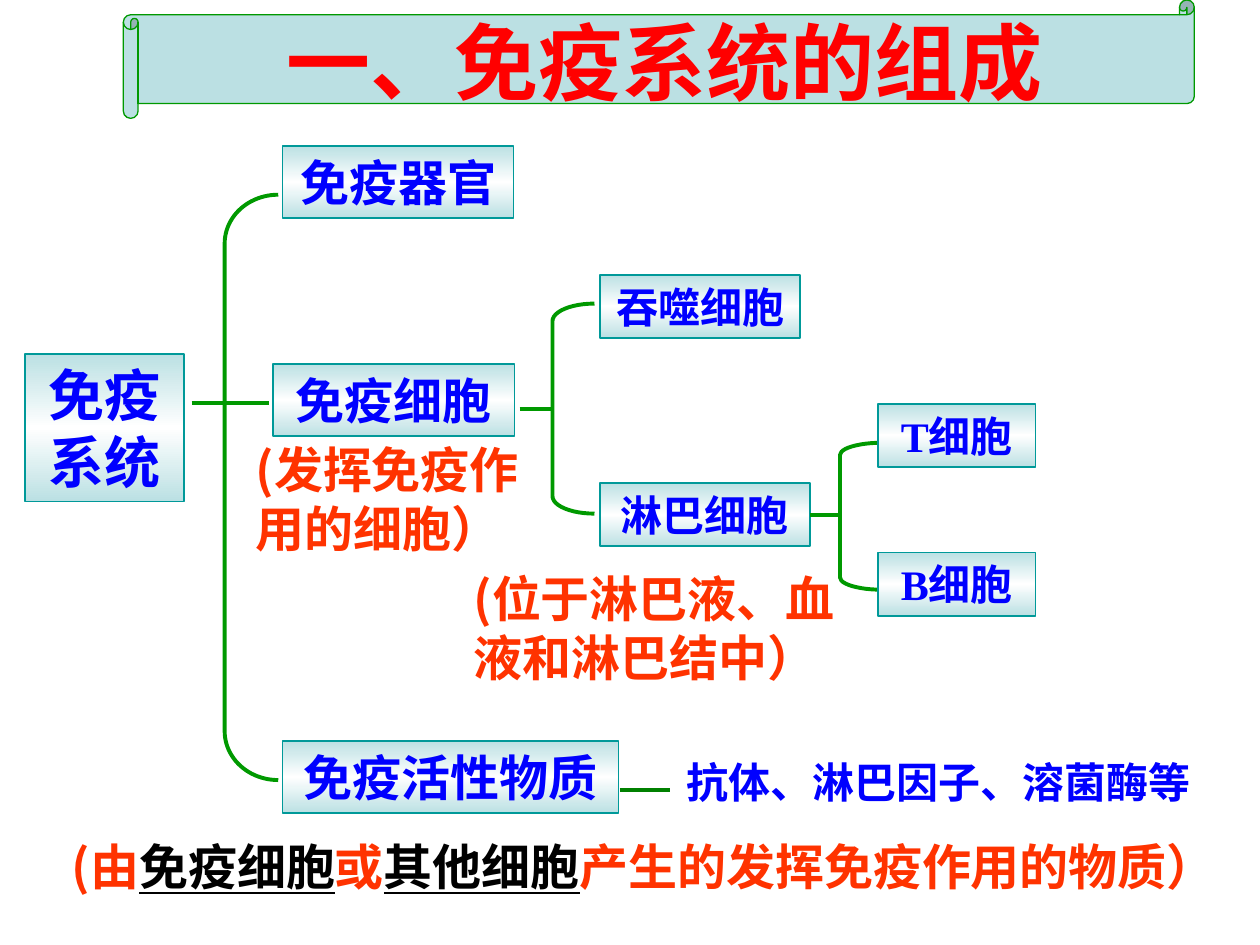
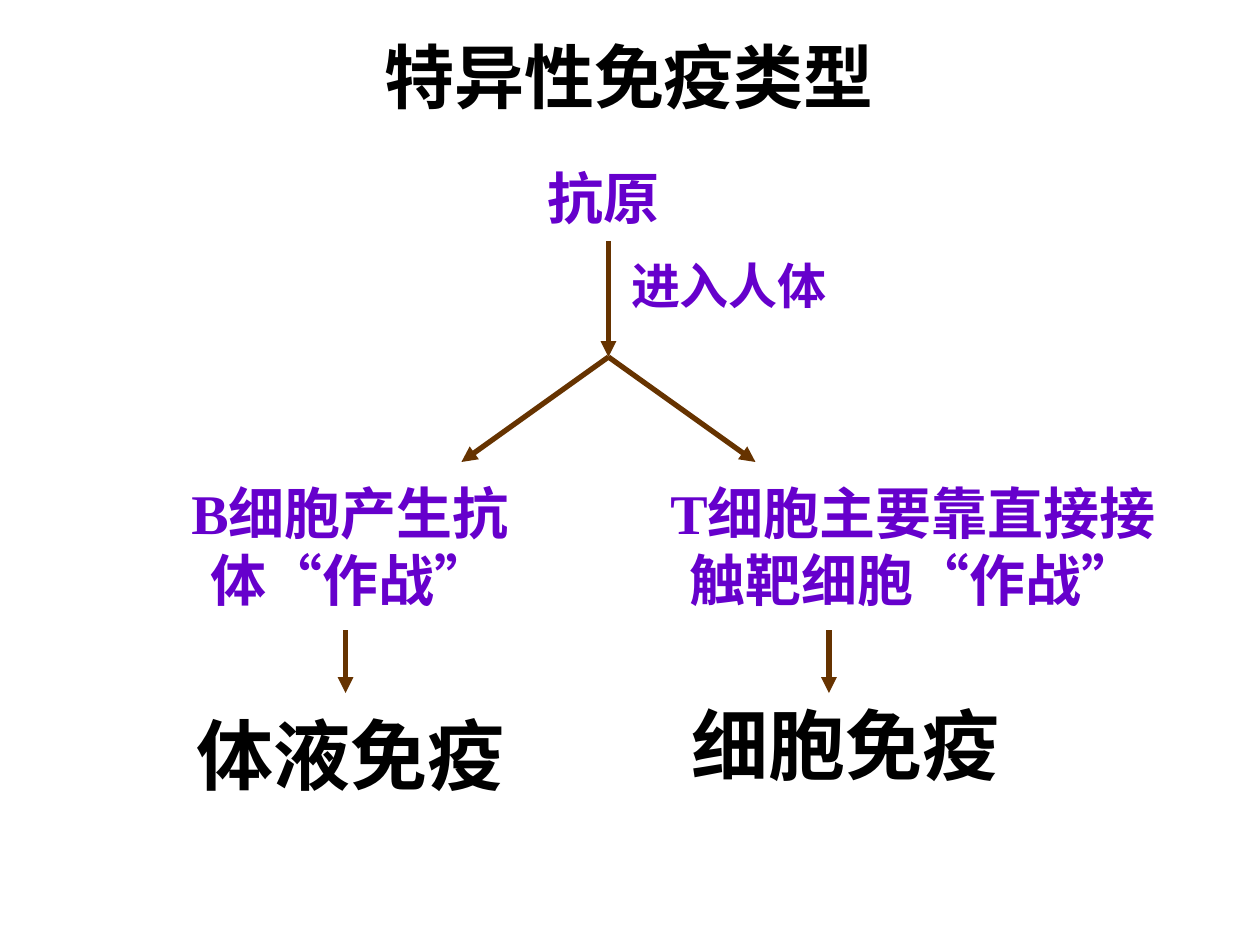
import copy
from dataclasses import dataclass

import pptx
import pptx.dml.color
import pptx.enum.shapes
import pptx.enum.text
import pptx.oxml.ns
import pptx.util
from lxml import etree

Pt = pptx.util.Pt
qn = pptx.oxml.ns.qn
Shape = pptx.enum.shapes.MSO_SHAPE
Align = pptx.enum.text.PP_ALIGN
Anchor = pptx.enum.text.MSO_ANCHOR
AutoSize = pptx.enum.text.MSO_AUTO_SIZE

COLORS = {
    "pale": "BBE0E3", "white": "FFFFFF", "teal": "009999", "green": "009900",
    "dark_green": "008000", "blue": "0000FF", "red": "FF0000", "orange": "FF3300",
    "black": "000000", "purple": "6600CC", "brown": "663300",
}
SERIF, SANS, CJK = "Times New Roman", "Arial", "Noto Sans CJK SC"


@dataclass(frozen=True)
class Area:
    left: float
    top: float
    width: float
    height: float

    def points(self) -> tuple:
        return Pt(self.left), Pt(self.top), Pt(self.width), Pt(self.height)


@dataclass(frozen=True)
class Style:
    size: float
    color: str
    font: str = SERIF
    align: Align = Align.LEFT


@dataclass(frozen=True)
class Label:
    text: str
    area: Area
    style: Style
    wrap: bool = True


@dataclass(frozen=True)
class Bracket:
    area: Area
    radius: float


@dataclass(frozen=True)
class Line:
    x1: float
    y1: float
    x2: float
    y2: float


def rgb(name: str) -> pptx.dml.color.RGBColor:
    return pptx.dml.color.RGBColor.from_string(COLORS[name])


def format_run(r, style: Style) -> None:
    r.font.size = Pt(style.size)
    r.font.bold = True
    r.font.name = style.font
    r.font.color.rgb = rgb(style.color)
    ea = etree.Element(qn("a:ea"), typeface=CJK)
    r.font._element.find(qn("a:latin")).addnext(ea)


def write(sp, text: str, style: Style, anchor: Anchor, wrap: bool = True) -> None:
    tf = sp.text_frame
    tf.text = text
    tf.word_wrap = wrap
    tf.vertical_anchor = anchor
    p = tf.paragraphs[0]
    p.alignment = style.align
    for r in p.runs:
        format_run(r, style)


def add_title(s, text: str, area: Area, style: Style, anchor: Anchor):
    sp = s.shapes.title
    sp.left, sp.top, sp.width, sp.height = area.points()
    write(sp, text, style, anchor)
    sp.text_frame.auto_size = AutoSize.NONE
    return sp


def add_text(s, label: Label):
    sp = s.shapes.add_textbox(*label.area.points())
    write(sp, label.text, label.style, Anchor.TOP, label.wrap)
    sp.text_frame.auto_size = AutoSize.SHAPE_TO_FIT_TEXT
    return sp


def add_preset(s, kind: Shape, area: Area, line: str, width: float):
    sp = s.shapes.add_shape(kind, *area.points())
    sp.shadow.inherit = False
    sp.line.color.rgb = rgb(line)
    sp.line.width = Pt(width)
    return sp


def add_node(s, label: Label):
    """Box with a pale-white-pale vertical gradient."""
    sp = add_preset(s, Shape.RECTANGLE, label.area, "teal", 1)
    sp.fill.gradient()
    sp.fill.gradient_angle = 270
    first, middle = sp.fill.gradient_stops
    first.color.rgb, first.position = rgb("pale"), 0
    middle.color.rgb, middle.position = rgb("white"), 0.5
    stops = sp._element.spPr.find(qn("a:gradFill")).find(qn("a:gsLst"))
    last = copy.deepcopy(stops[0])
    last.set("pos", "100000")
    stops.append(last)
    write(sp, label.text, label.style, Anchor.MIDDLE)
    sp.text_frame.auto_size = AutoSize.SHAPE_TO_FIT_TEXT
    return sp


def add_bracket(s, bracket: Bracket) -> None:
    sp = add_preset(s, Shape.LEFT_BRACKET, bracket.area, "green", 2.25)
    sp.adjustments[0] = bracket.radius / bracket.area.width
    sp.fill.background()


def add_line(s, line: Line, color: str, width: float, arrow: bool = False):
    cx = s.shapes.add_connector(
        pptx.enum.shapes.MSO_CONNECTOR.STRAIGHT,
        Pt(line.x1), Pt(line.y1), Pt(line.x2), Pt(line.y2))
    cx.line.color.rgb = rgb(color)
    cx.line.width = Pt(width)
    if arrow:
        etree.SubElement(cx.line._get_or_add_ln(), qn("a:tailEnd"), type="triangle")
    etree.SubElement(cx._element.spPr, qn("a:effectLst"))
    return cx


def build_composition(s) -> None:
    title = add_title(s, "一、免疫系统的组成", Area(79, 7, 601, 56),
                      Style(48, "red", SANS, Align.CENTER), Anchor.MIDDLE)
    scroll = add_preset(s, Shape.HORIZONTAL_SCROLL, Area(70.5, 0, 612, 67.7), "green", 0.75)
    scroll.fill.solid()
    scroll.fill.fore_color.rgb = rgb("pale")
    title._element.addprevious(scroll._element)

    for bracket in (
        Bracket(Area(128.4, 111.3, 30.6, 334.5), 27.8),
        Bracket(Area(315.7, 173.5, 24, 120), 10),
        Bracket(Area(480, 253, 24, 84), 7),
    ):
        add_bracket(s, bracket)

    root, branch, leaf = (Style(size, "blue", SERIF, Align.CENTER) for size in (32, 28, 24))
    nodes = {
        label.text: add_node(s, label) for label in (
            Label("免疫系统", Area(14.2, 202.2, 90.8, 84.4), root),
            Label("免疫器官", Area(161.5, 83.5, 132, 41), branch),
            Label("免疫细胞", Area(155.8, 208, 138.2, 41.3), branch),
            Label("免疫活性物质", Area(161.5, 423.3, 192, 41.3), branch),
            Label("吞噬细胞", Area(342.8, 157, 114.5, 36.2), leaf),
            Label("淋巴细胞", Area(342.8, 276, 120, 36.2), leaf),
            Label("T细胞", Area(501.7, 230.7, 90, 36.2), leaf),
            Label("B细胞", Area(501.7, 315.7, 90, 36.2), leaf),
        )
    }
    add_line(s, Line(109.5, 230.3, 153.5, 230.3), "green", 2.25)
    add_line(s, Line(297, 233.5, 315.7, 233.5), "green", 2.25)
    stem = add_line(s, Line(462.8, 294.1, 480, 294.1), "green", 2.25)
    stem.begin_connect(nodes["淋巴细胞"], 3)
    add_line(s, Line(354.3, 451.4, 383, 451.4), "dark_green", 2.25)

    note = Style(28, "orange", CJK)
    for label in (
        Label("抗体、淋巴因子、溶菌酶等", Area(385, 428.5, 302.4, 36.2),
              Style(24, "blue", SANS), wrap=False),
        Label("(发挥免疫作用的细胞）", Area(139, 247.7, 170, 108), note),
        Label("(位于淋巴液、血液和淋巴结中）", Area(263.5, 321.3, 238.3, 75), note),
    ):
        add_text(s, label)

    sp = add_text(s, Label("(由", Area(34, 474.5, 686, 41.3), note))
    p = sp.text_frame.paragraphs[0]
    for text, key_term in (("免疫细胞", True), ("或", False), ("其他细胞", True),
                           ("产生的发挥免疫作用的物质）", False)):
        r = p.add_run()
        r.text = text
        format_run(r, Style(28, "black", CJK) if key_term else note)
        r.font.underline = key_term


def build_types(s) -> None:
    add_title(s, "特异性免疫类型", Area(212.4, 15.3, 368.6, 55.2),
              Style(40, "black", SANS), Anchor.TOP)
    step = Style(32, "purple")
    action = Style(32, "purple", SERIF, Align.CENTER)
    result = Style(44, "black")
    for label in (
        Label("抗原", Area(305.5, 90, 84.4, 46), step),
        Label("进入人体", Area(353.5, 142.5, 132, 41.3), Style(28, "purple")),
        Label("B细胞产生抗体“作战”", Area(89.3, 270, 221.8, 84.4), action),
        Label("T细胞主要靠直接接触靶细胞“作战”", Area(366, 270, 311.8, 84.4), action),
        Label("体液免疫", Area(105, 400.5, 249, 60.5), result),
        Label("细胞免疫", Area(388.3, 394.8, 224.6, 60.5), result),
    ):
        add_text(s, label)

    fork_x, fork_y, spread = 347.7, 204, 84
    arrows = [Line(fork_x, 138, fork_x, fork_y)]
    arrows += [Line(fork_x, fork_y, fork_x + dx, 264) for dx in (-spread, spread)]
    arrows += [Line(x, 360, x, 396) for x in (197.5, 473.7)]
    for arrow in arrows:
        add_line(s, arrow, "brown", 3, arrow=True)


def main() -> None:
    prs = pptx.Presentation()
    prs.slide_width, prs.slide_height = Pt(720), Pt(540)
    title_only = prs.slide_layouts[5]
    for build in (build_composition, build_types):
        build(prs.slides.add_slide(title_only))
    prs.save("out.pptx")


if __name__ == "__main__":
    main()
